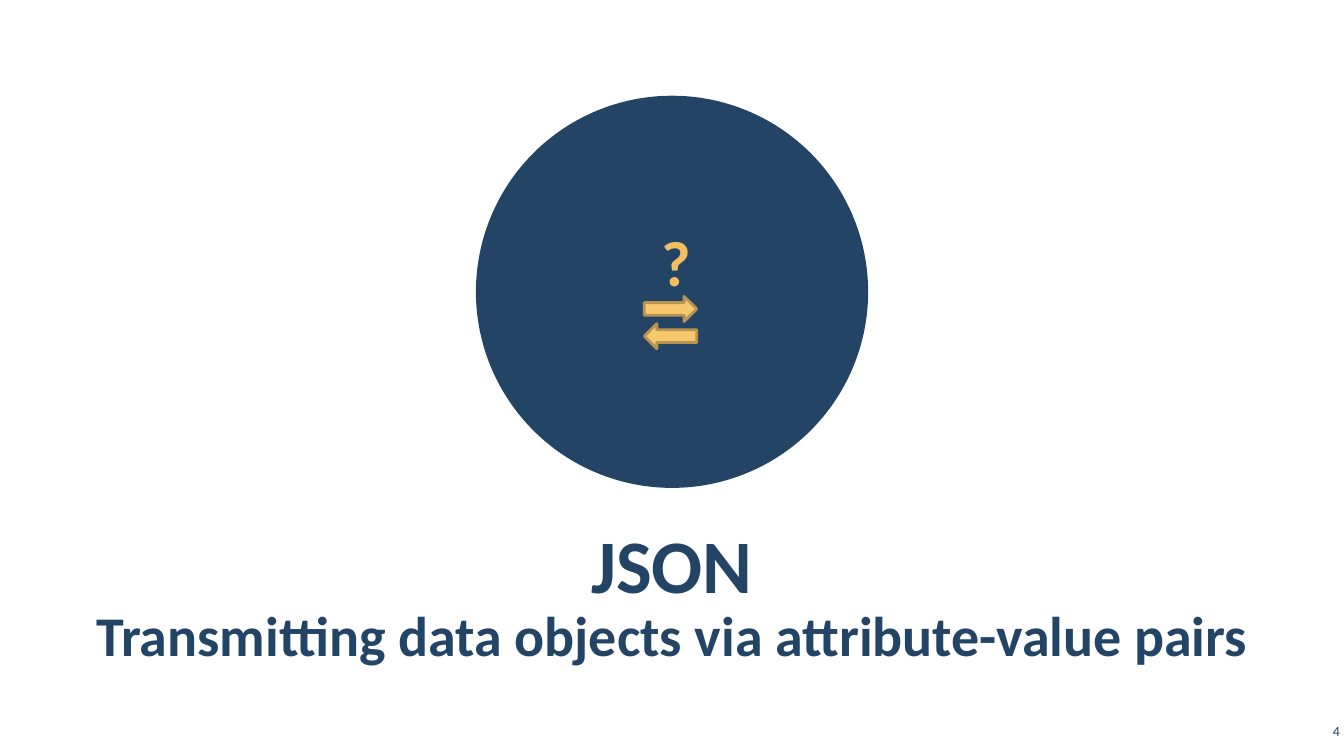
from dataclasses import dataclass

from pptx import Presentation
from pptx.dml.color import RGBColor
from pptx.enum.shapes import MSO_SHAPE
from pptx.enum.text import MSO_ANCHOR, MSO_AUTO_SIZE, PP_ALIGN
from pptx.util import Inches, Pt

OVAL = MSO_SHAPE.OVAL
RIGHT_ARROW, LEFT_ARROW = MSO_SHAPE.RIGHT_ARROW, MSO_SHAPE.LEFT_ARROW
MIDDLE, NO_AUTOFIT = MSO_ANCHOR.MIDDLE, MSO_AUTO_SIZE.NONE
LEFT, CENTER, RIGHT = PP_ALIGN.LEFT, PP_ALIGN.CENTER, PP_ALIGN.RIGHT
TITLE_ONLY = 5


@dataclass(frozen=True)
class Theme:
    font: str = "Calibri"
    navy: RGBColor = RGBColor(0x23, 0x44, 0x65)
    gold: RGBColor = RGBColor(0xF7, 0xC8, 0x6D)
    gold_edge: RGBColor = RGBColor(0xB7, 0x94, 0x51)
    gold_text: RGBColor = RGBColor(0xF3, 0xBE, 0x60)
    title_size: float = 54
    subtitle_size: float = 40
    symbol_size: float = 45.6
    number_size: float = 10


theme = Theme()


def place(shape, left, top, width, height):
    shape.left, shape.top = Inches(left), Inches(top)
    shape.width, shape.height = Inches(width), Inches(height)


def write(shape, text, size, color, align, bold=True, spacing=1.0, gap=0, side_inset=0.12):
    """Fill a shape with one vertically centred paragraph; gap is in points."""
    frame = shape.text_frame
    frame.text = text
    frame.word_wrap = True
    frame.auto_size = NO_AUTOFIT
    frame.vertical_anchor = MIDDLE
    frame.margin_left = frame.margin_right = Inches(side_inset)
    frame.margin_top = frame.margin_bottom = Inches(0.04)
    paragraph = frame.paragraphs[0]
    paragraph.alignment = align
    paragraph.line_spacing = spacing
    paragraph.space_before = Pt(0)
    paragraph.space_after = Pt(gap)
    font = paragraph.runs[0].font
    font.name, font.size, font.bold = theme.font, Pt(size), bold
    font.color.rgb = color


slide_width, slide_height = 13.33, 7.5
presentation = Presentation()
presentation.slide_width = Inches(slide_width)
presentation.slide_height = Inches(slide_height)
slide = presentation.slides.add_slide(presentation.slide_layouts[TITLE_ONLY])
shapes = slide.shapes

# Emblem: circle, question mark and a pair of opposite arrows
diameter = 3.89
circle = shapes.add_shape(OVAL, 0, 0, 0, 0)
place(circle, (slide_width - diameter) / 2, 0.95, diameter, diameter)
circle.shadow.inherit = False
circle.fill.solid()
circle.fill.fore_color.rgb = theme.navy
circle.line.fill.background()

arrow_top, arrow_pitch = 2.94, 0.27
for row, arrow_kind in enumerate((RIGHT_ARROW, LEFT_ARROW)):
    arrow = shapes.add_shape(arrow_kind, 0, 0, 0, 0)
    place(arrow, 6.39, arrow_top + row * arrow_pitch, 0.52, 0.25)
    arrow.shadow.inherit = False
    arrow.fill.solid()
    arrow.fill.fore_color.rgb = theme.gold
    arrow.line.color.rgb = theme.gold_edge
    arrow.line.width = Pt(2)

question_mark = shapes.add_textbox(0, 0, 0, 0)
place(question_mark, 6.44, 2.35, 0.43, 0.67)
write(question_mark, "?", theme.symbol_size, theme.gold_text, LEFT, spacing=0.7)

# Headings share one centred column
column_width = 11.98
column_left = (slide_width - column_width) / 2
title = shapes.title
place(title, column_left, 5.15, column_width, 0.84)
write(title, "JSON", theme.title_size, theme.navy, CENTER, spacing=1.05, gap=6)

subtitle = shapes.add_textbox(0, 0, 0, 0)
place(subtitle, column_left, 6, column_width, 0.55)
write(subtitle, "Transmitting data objects via attribute-value pairs",
      theme.subtitle_size, theme.navy, CENTER, spacing=1.05, gap=6)

# Slide number sits against the bottom right corner
number_width, number_height = 0.47, 0.22
slide_number = shapes.add_textbox(0, 0, 0, 0)
place(slide_number, slide_width - number_width, slide_height - number_height - 0.14,
      number_width, number_height)
write(slide_number, "4", theme.number_size, theme.navy, RIGHT, bold=False, side_inset=0.04)

presentation.save("out.pptx")
